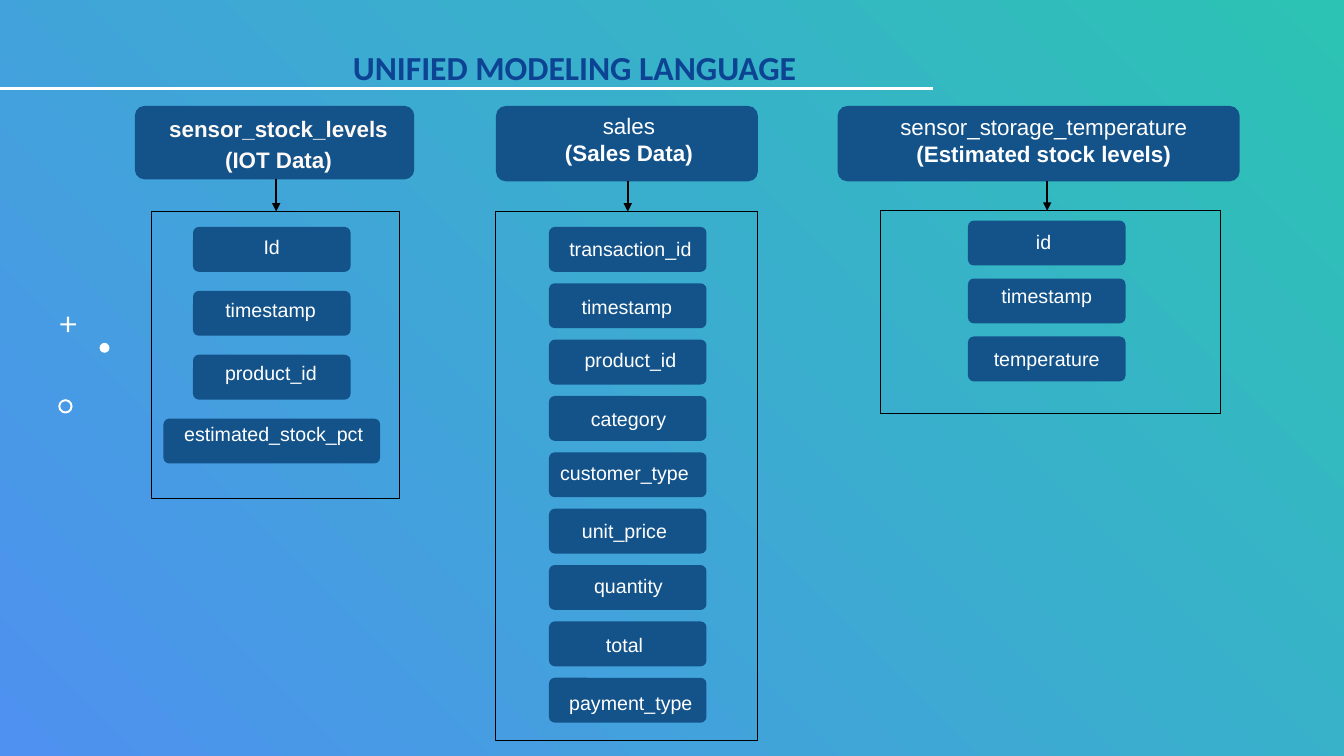
"""Build a slide of three data tables drawn as labelled diagram columns."""
from lxml import etree
from pptx import Presentation
from pptx.dml.color import RGBColor
from pptx.enum.shapes import MSO_CONNECTOR, MSO_SHAPE as Form
from pptx.enum.text import MSO_ANCHOR, MSO_AUTO_SIZE, PP_ALIGN as Align
from pptx.oxml.ns import qn
from pptx.util import Cm, Pt

COLORS = {"blue": "4E91F0", "teal": "2CC3B4", "title": "0C4493", "box": "13538A",
          "cream": "FFF9F5", "white": "FFFFFF", "black": "000000"}
TITLE = "UNIFIED MODELING LANGUAGE"
FIELD_WIDTH, FIELD_HEIGHT, WIDE_FIELD = 3.97, 1.13, 5.46
ROUNDING = 0.13
SIDE_MARGIN = 0.15

# Each field holds its label, the label's shift from centre and its inset from the top.
TABLES = [
    {"header": (3.4, 2.67, 7.04, 1.85), "frame": (3.82, 5.33, 6.25, 7.24),
     "lines": [("sensor_stock_levels", True), ("(IOT Data)", True)],
     "shift": 0.1, "inset": 0.06, "color": "cream", "spacing": 1.15,
     "center": 6.85, "arrow": 6.96, "top": 5.72, "pitch": 1.61,
     "fields": [("Id", 0, 0.15), ("timestamp", -0.03, 0.13), ("product_id", -0.02, 0.1),
                ("estimated_stock_pct", 0.05, 0.04)]},
    {"header": (12.5, 2.67, 6.6, 1.9), "frame": (12.5, 5.33, 6.6, 13.34),
     "lines": [("sales", False), ("(Sales Data)", True)],
     "shift": 0.05, "inset": 0.09, "color": "white", "spacing": 1,
     "center": 15.82, "arrow": 15.82, "top": 5.72, "pitch": 1.42,
     "fields": [("transaction_id", 0.07, 0.2), ("timestamp", -0.02, 0.25),
                ("product_id", 0.07, 0.16), ("category", 0.02, 0.22),
                ("customer_type", -0.08, 0.16), ("unit_price", -0.08, 0.22),
                ("quantity", 0.02, 0.19), ("total", -0.08, 0.24),
                ("payment_type", 0.08, 0.28)]},
    {"header": (21.11, 2.67, 10.13, 1.9), "frame": (22.2, 5.31, 8.56, 5.11),
     "lines": [("sensor_storage_temperature", False), ("(Estimated stock levels)", True)],
     "shift": 0.13, "inset": 0.11, "color": "white", "spacing": 1,
     "center": 26.38, "arrow": 26.39, "top": 5.56, "pitch": 1.46,
     "fields": [("id", -0.08, 0.19), ("timestamp", 0, 0.09), ("temperature", 0, 0.22)]},
]
ORNAMENTS = [(Form.CROSS, 1.52, 7.98, 0.39, 0.43), (Form.OVAL, 2.51, 8.64, 0.25, None),
             (Form.DONUT, 1.47, 10.06, 0.36, 0.14)]


def rgb(name):
    return RGBColor.from_string(COLORS[name])


def add_box(page, form, place, fill=None, rounding=None):
    box = page.shapes.add_shape(form, *map(Cm, place))
    box.shadow.inherit = False
    box.line.fill.background()
    if fill:
        box.fill.solid()
        box.fill.fore_color.rgb = rgb(fill)
    else:
        box.fill.background()
    if rounding is not None:
        box.adjustments[0] = rounding
    return box


def add_label(box, lines, size, shift, inset, color="white", spacing=1):
    frame = box.text_frame
    frame.word_wrap = True
    frame.vertical_anchor = MSO_ANCHOR.TOP
    frame.margin_left, frame.margin_right = Cm(SIDE_MARGIN + shift), Cm(SIDE_MARGIN - shift)
    frame.margin_top, frame.margin_bottom = Cm(inset), 0
    for index, (text, bold) in enumerate(lines):
        para = frame.add_paragraph() if index else frame.paragraphs[0]
        para.text = text
        para.alignment = Align.CENTER
        para.line_spacing = spacing
        para.font.name, para.font.size, para.font.bold = "Arial", Pt(size), bold
        para.font.color.rgb = rgb(color)


def add_line(page, start, end, color, width, arrow=False):
    line = page.shapes.add_connector(MSO_CONNECTOR.STRAIGHT, *map(Cm, start + end))
    line.line.color.rgb = rgb(color)
    line.line.width = Pt(width)
    properties = line.element.spPr
    if arrow:
        etree.SubElement(properties.find(qn("a:ln")), qn("a:tailEnd"), type="triangle")
    etree.SubElement(properties, qn("a:effectLst"))


def add_title(page):
    title = page.shapes.title
    title.left, title.top, title.width, title.height = map(Cm, (8.64, 0.66, 16.46, 1.68))
    frame = title.text_frame
    frame.text = TITLE
    frame.auto_size = MSO_AUTO_SIZE.NONE
    frame.vertical_anchor = MSO_ANCHOR.BOTTOM
    para = frame.paragraphs[0]
    para.alignment, para.line_spacing, para.space_after = Align.LEFT, 0.9, Pt(6)
    para.font.name, para.font.size, para.font.bold = "Calibri", Pt(24), True
    para.font.color.rgb = rgb("title")


def add_backdrop(page):
    backdrop = add_box(page, Form.RECTANGLE, (0, 0, 33.87, 19.05))
    backdrop.fill.gradient()
    backdrop.fill.gradient_angle = 45
    for stop, name in zip(backdrop.fill.gradient_stops, ("blue", "teal")):
        stop.color.rgb = rgb(name)
    page.shapes.title.element.addprevious(backdrop.element)


def add_table_diagram(page, table):
    outline = add_box(page, Form.RECTANGLE, table["frame"])
    outline.line.color.rgb = rgb("black")
    outline.line.width = Pt(0.75)
    header = add_box(page, Form.ROUNDED_RECTANGLE, table["header"], "box", ROUNDING)
    add_label(header, table["lines"], 16, table["shift"], table["inset"], table["color"],
              table["spacing"])
    for row, (name, shift, inset) in enumerate(table["fields"]):
        width = WIDE_FIELD if len(name) > 15 else FIELD_WIDTH
        place = (table["center"] - width / 2, table["top"] + row * table["pitch"],
                 width, FIELD_HEIGHT)
        field = add_box(page, Form.ROUNDED_RECTANGLE, place, "box", ROUNDING)
        add_label(field, [(name, False)], 14, shift, inset)
    header_bottom = table["header"][1] + table["header"][3]
    add_line(page, (table["arrow"], header_bottom), (table["arrow"], table["frame"][1]),
             "black", 1.5, arrow=True)


deck = Presentation()
deck.slide_width, deck.slide_height = Cm(33.87), Cm(19.05)
page = deck.slides.add_slide(deck.slide_layouts[5])
add_title(page)
add_backdrop(page)
add_line(page, (0, 2.24), (23.5, 2.24), "white", 2)
for form, left, top, size, adjustment in ORNAMENTS:
    add_box(page, form, (left, top, size, size), "white", adjustment)
for table in TABLES:
    add_table_diagram(page, table)
deck.save("out.pptx")
